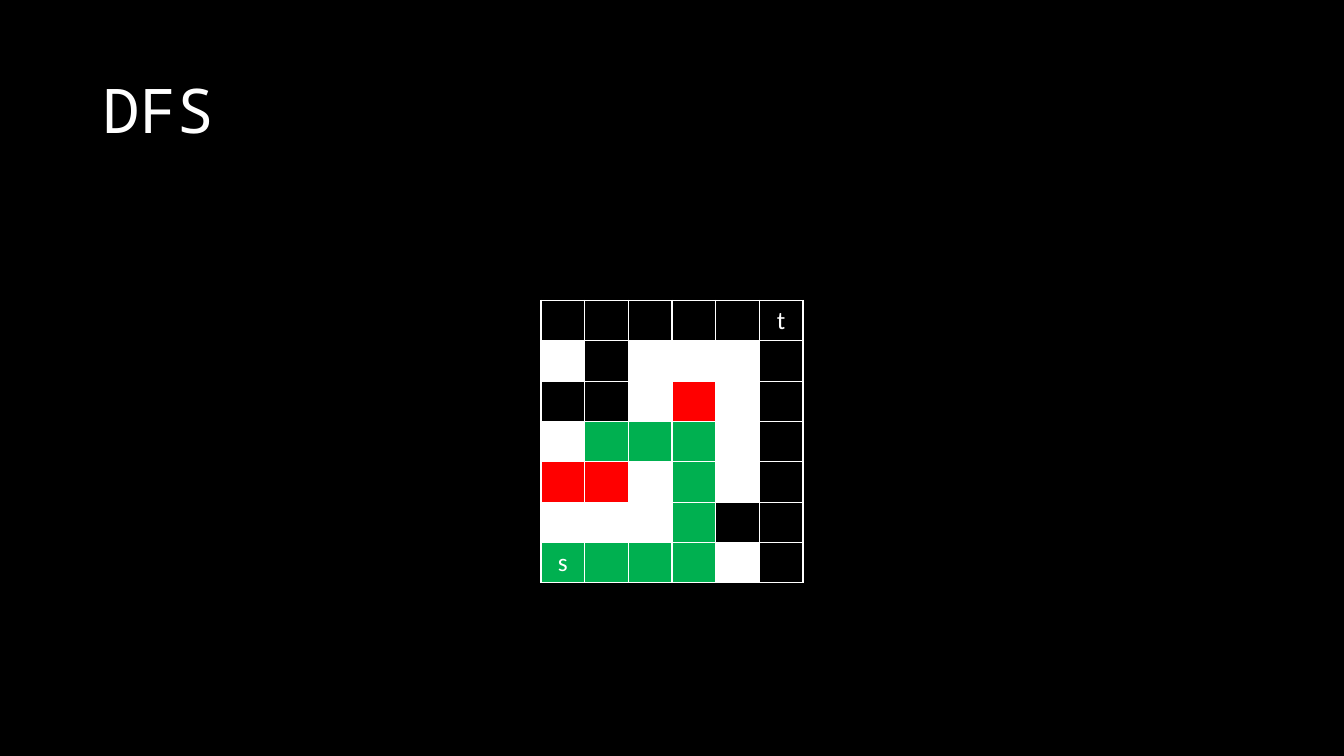
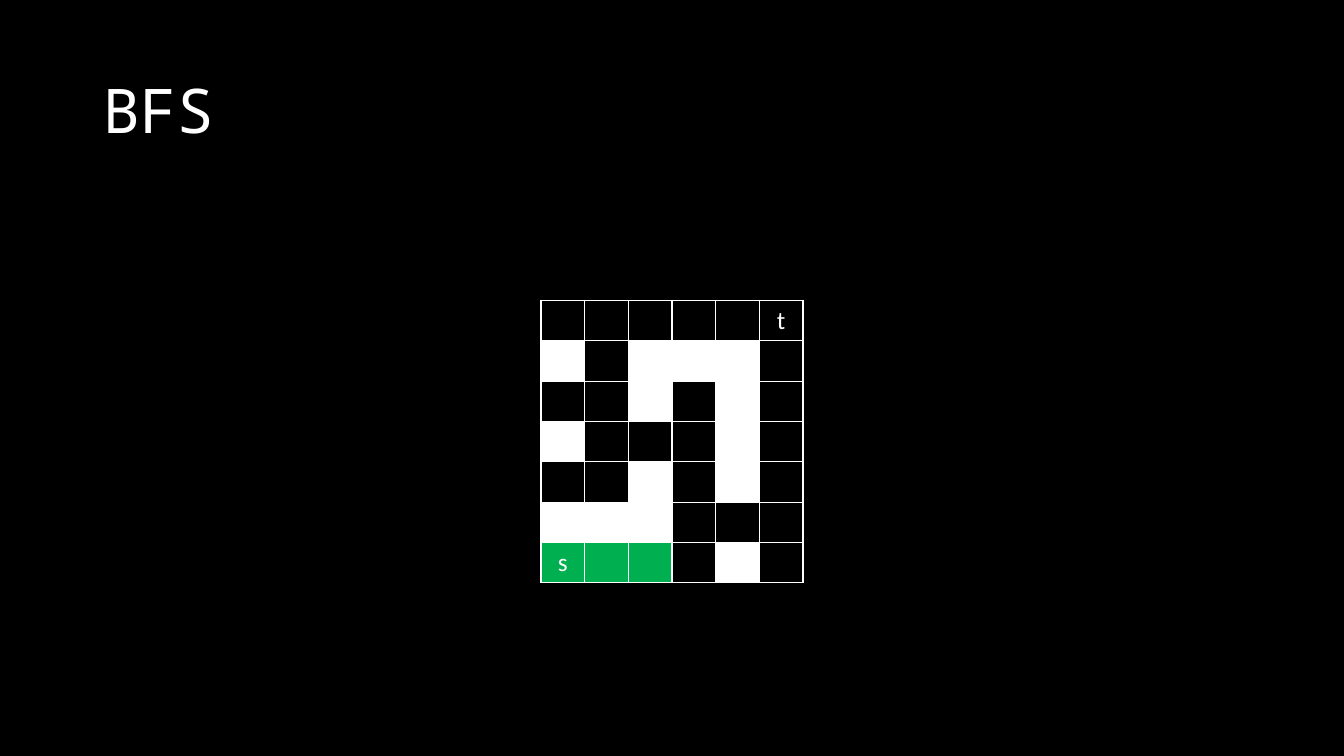
from dataclasses import dataclass

from lxml.etree import SubElement as Sub
from pptx import Presentation
from pptx.dml.color import RGBColor as Rgb
from pptx.enum.text import MSO_ANCHOR as Anchor, PP_ALIGN as Align
from pptx.oxml.ns import qn
from pptx.util import Inches, Pt


@dataclass(frozen=True)
class Theme:
    back: str = "000000"
    ink: str = "FFFFFF"
    path_on: str = "00B050"
    dead: str = "FF0000"
    head: str = "Noto Sans Mono"
    body: str = "Calibri"
    big: int = 44
    text: int = 18
    line: int = 1


LOOK = Theme()
WIDE, HIGH = Inches(13.33), Inches(7.5)
CELL_W, CELL_H = Inches(2.6 / 6), Inches(0.4)
TOP = Inches(2.98)

# Maze: "#" is a wall, "." is open, letters mark start and target
MAZE = (
    ".....t",
    "#.###.",
    "..#.#.",
    "#...#.",
    "..#.#.",
    "###...",
    "s...#.",
)
# Search state by slide: visited cells and dead ends, as (row, column)
STEPS = {
    "DFS": {
        LOOK.path_on: [(6, 0), (6, 1), (6, 2), (6, 3), (5, 3),
                       (4, 3), (3, 3), (3, 2), (3, 1)],
        LOOK.dead: [(2, 3), (4, 0), (4, 1)],
    },
    "BFS": {LOOK.path_on: [(6, 0), (6, 1), (6, 2)]},
}


def put(item, form):
    """Set each format value on an object."""
    for name, value in form.items():
        setattr(item, name, value)


def style(font, face, size):
    put(font, {"name": face, "size": Pt(size)})
    font.color.rgb = Rgb.from_string(LOOK.ink)


def title(slide, text):
    box = slide.shapes.add_textbox(
        Inches(0.92), Inches(0.4), Inches(11.5), Inches(1.45))
    frame = box.text_frame
    put(frame, {"word_wrap": True, "vertical_anchor": Anchor.MIDDLE})
    para = frame.paragraphs[0]
    para.line_spacing = 0.9
    run = para.add_run()
    run.text = text
    style(run.font, LOOK.head, LOOK.big)


def border(cell):
    props = cell._tc.get_or_add_tcPr()
    for side in ("a:lnL", "a:lnR", "a:lnT", "a:lnB"):
        line = Sub(props, qn(side), w=str(Pt(LOOK.line)))
        fill = Sub(line, qn("a:solidFill"))
        Sub(fill, qn("a:srgbClr"), val=LOOK.ink)


def paint(cell, tone):
    if tone:
        cell.fill.solid()
        cell.fill.fore_color.rgb = Rgb.from_string(tone)
    else:
        cell.fill.background()


def label(cell, text):
    para = cell.text_frame.paragraphs[0]
    para.alignment = Align.CENTER
    run = para.add_run()
    run.text = text
    style(run.font, LOOK.body, LOOK.text)


def board(slide, marks):
    rows, cols = len(MAZE), len(MAZE[0])
    wide = CELL_W * cols
    grid = slide.shapes.add_table(
        rows, cols, (WIDE - wide) // 2, TOP, wide, CELL_H * rows).table
    put(grid, {"first_row": False, "horz_banding": False})
    tones = {spot: tone for tone, spots in marks.items() for spot in spots}
    for row, signs in enumerate(MAZE):
        for col, sign in enumerate(signs):
            cell = grid.cell(row, col)
            border(cell)
            wall = LOOK.ink if sign == "#" else None
            paint(cell, tones.get((row, col), wall))
            if sign.isalpha():
                label(cell, sign)


def main():
    deck = Presentation()
    put(deck, {"slide_width": WIDE, "slide_height": HIGH})
    # Shared black ground
    ground = deck.slide_master.background.fill
    ground.solid()
    ground.fore_color.rgb = Rgb.from_string(LOOK.back)
    # One slide for each search
    for name, marks in STEPS.items():
        slide = deck.slides.add_slide(deck.slide_layouts[6])
        title(slide, name)
        board(slide, marks)
    deck.save("out.pptx")


main()
